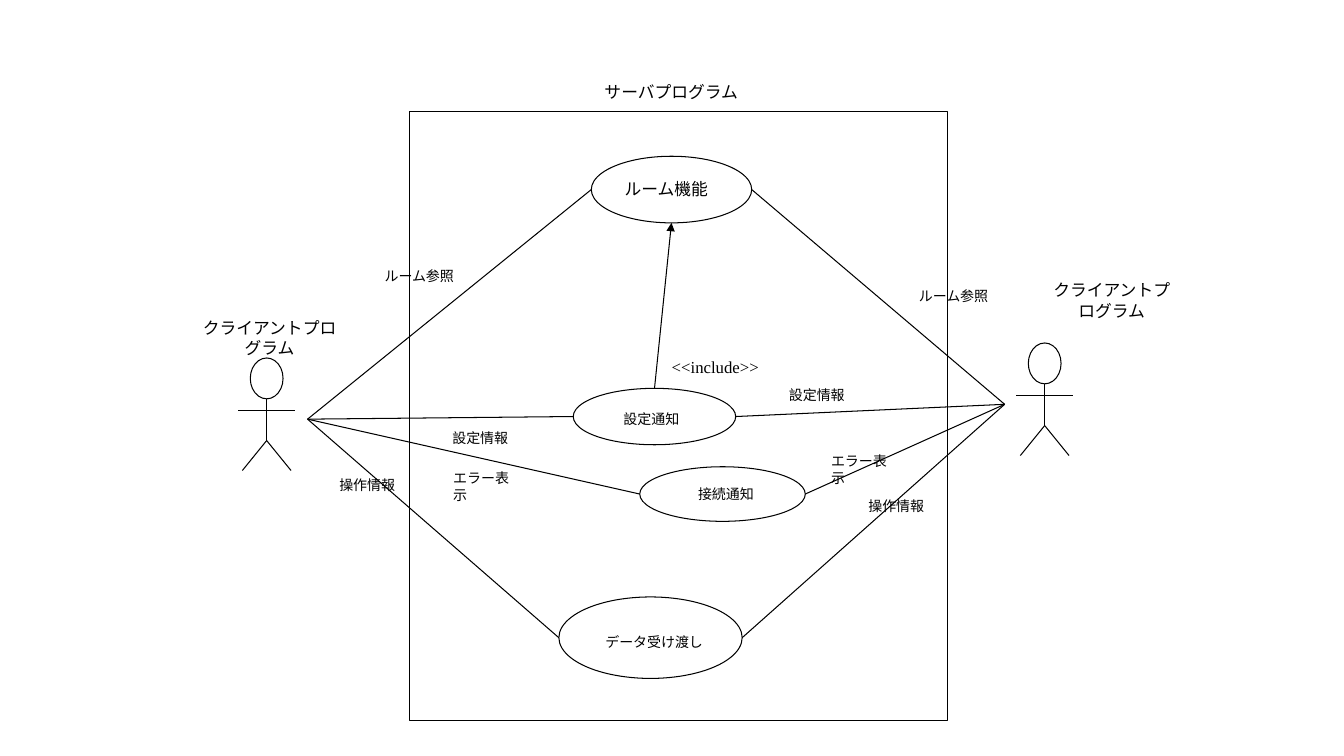
from lxml.etree import SubElement
from pptx import Presentation
from pptx.dml.color import RGBColor
from pptx.enum.shapes import MSO_CONNECTOR, MSO_SHAPE
from pptx.enum.text import MSO_AUTO_SIZE, PP_ALIGN
from pptx.oxml.ns import qn
from pptx.util import Pt

INK = "000000"
LEFT_HUB = (219.8, 299.4)
RIGHT_HUB = (718, 288.8)

# name, oval box, label box (left, top, width), size, alignment
CASES = [
    ("ルーム機能", (422.6, 111.6, 114.6, 47.6), (424, 123.8, 104.4), 12, PP_ALIGN.CENTER),
    ("設定通知", (409.7, 277.4, 116.1, 40.3), (438.5, 289.4, 77), 10, PP_ALIGN.LEFT),
    ("接続通知", (457.2, 333.4, 118.3, 39), (491.8, 342.9, 64), 10, PP_ALIGN.LEFT),
    ("データ受け渡し", (399.4, 426.4, 131, 58.2), (425.5, 448.7, 87), 10, PP_ALIGN.LEFT),
]
# text, width, left and top of each place
FLOWS = [
    ("ルーム参照", 67, [(267.8, 187.3), (649.6, 201.7)]),
    ("設定情報", 57, [(316.2, 303.2), (556.7, 272.7)]),
    ("エラー表示", 63, [(316.8, 331.9), (586.8, 319.7)]),
    ("操作情報", 64, [(235.4, 337), (613.5, 352)]),
]


def color(code):
    return RGBColor.from_string(code)


def outline(shapes, kind, left, top, width, height):
    shape = shapes.add_shape(kind, Pt(left), Pt(top), Pt(width), Pt(height))
    shape.shadow.inherit = False
    shape.fill.background()
    shape.line.color.rgb = color(INK)
    shape.line.width = Pt(0.75)
    return shape


def line(shapes, start, end, arrow=False):
    ends = [Pt(value) for value in (*start, *end)]
    link = shapes.add_connector(MSO_CONNECTOR.STRAIGHT, *ends)
    link.line.color.rgb = color(INK)
    link.line.width = Pt(0.75)
    if arrow:
        SubElement(link.line._get_or_add_ln(), qn("a:tailEnd"), type="triangle")
    SubElement(link._element.spPr, qn("a:effectLst"))


def label(shapes, text, left, top, width, size=10, align=PP_ALIGN.LEFT):
    box = shapes.add_textbox(Pt(left), Pt(top), Pt(width), Pt(size * 1.8))
    frame = box.text_frame
    frame.word_wrap = True
    frame.auto_size = MSO_AUTO_SIZE.SHAPE_TO_FIT_TEXT
    para = frame.paragraphs[0]
    para.text = text
    para.alignment = align
    para.font.size = Pt(size)
    para.font.name = "Times New Roman"
    para.font.color.rgb = color(INK)


def actor(shapes, mid, top):
    """Draw a stick figure as one group."""
    parts = shapes.add_group_shape().shapes
    neck, arm, hip, foot = top + 29.2, top + 37.2, top + 59, top + 80.4
    outline(parts, MSO_SHAPE.OVAL, mid - 11.7, top, 23.4, 29.2)
    line(parts, (mid - 20.2, arm), (mid + 20.2, arm))
    line(parts, (mid, neck), (mid, hip))
    for side in (-17.4, 17.4):
        line(parts, (mid, hip), (mid + side, foot))


def case(shapes, name, oval, place, size, align):
    """Draw a use case and tie it to both actors."""
    left, top, width, height = oval
    mid = top + height / 2
    outline(shapes, MSO_SHAPE.OVAL, *oval)
    line(shapes, LEFT_HUB, (left, mid))
    line(shapes, (left + width, mid), RIGHT_HUB)
    label(shapes, name, *place, size, align)


def include(shapes, source, target):
    """Point from the top of one oval to the bottom of another."""
    start = (source[0] + source[2] / 2, source[1])
    end = (target[0] + target[2] / 2, target[1] + target[3])
    line(shapes, start, end, arrow=True)
    label(shapes, "<<include>>", 473, 251.3, 88.6, 12)


def main():
    deck = Presentation()
    deck.slide_width, deck.slide_height = Pt(960.5), Pt(540)
    shapes = deck.slides.add_slide(deck.slide_layouts[6]).shapes

    outline(shapes, MSO_SHAPE.RECTANGLE, 293, 79.7, 384.4, 434.8)
    label(shapes, "サーバプログラム", 393, 54.7, 173.5, 12, PP_ALIGN.CENTER)

    for mid, top in ((190.6, 255.7), (746.6, 245)):
        actor(shapes, mid, top)
    for left, top, width in ((137.2, 223.2, 111), (742.3, 196.6, 104.4)):
        label(shapes, "クライアントプログラム", left, top, width, 12, PP_ALIGN.CENTER)

    for item in CASES:
        case(shapes, *item)
    include(shapes, CASES[1][1], CASES[0][1])

    for text, width, places in FLOWS:
        for left, top in places:
            label(shapes, text, left, top, width)

    deck.save("out.pptx")


if __name__ == "__main__":
    main()
